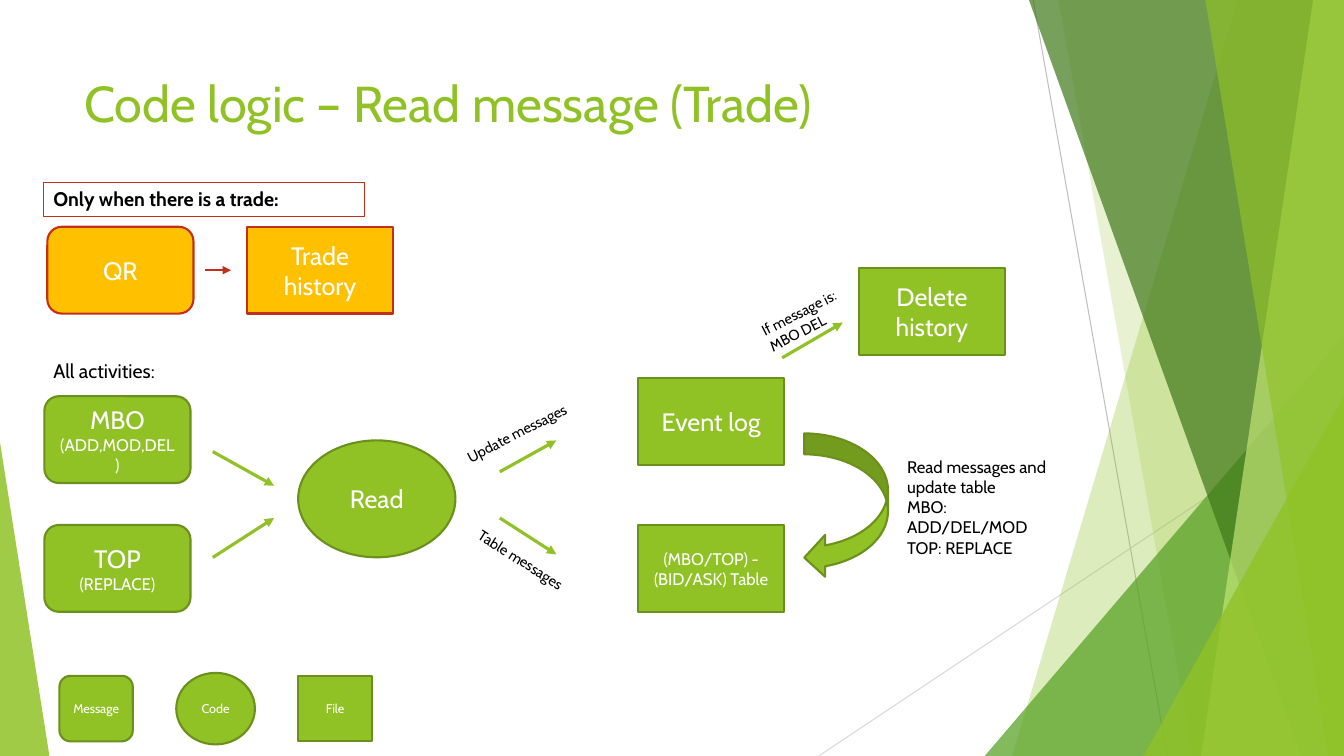
from typing import NamedTuple

from lxml.etree import SubElement
from pptx import Presentation
from pptx.dml.color import RGBColor
from pptx.enum.shapes import MSO_CONNECTOR as Link, MSO_SHAPE as Kind
from pptx.enum.text import MSO_ANCHOR as Anchor, PP_ALIGN as Align
from pptx.oxml.ns import qn
from pptx.util import Pt

FONT = "Cabin"
WHITE = RGBColor(0xFF, 0xFF, 0xFF)
BLACK = RGBColor(0, 0, 0)
GREEN = RGBColor(0x90, 0xC2, 0x26)
OLIVE = RGBColor(0x6B, 0x90, 0x1C)
LEAF = RGBColor(0x54, 0xA0, 0x21)
FOREST = RGBColor(0x3F, 0x78, 0x19)
LIME = RGBColor(0xC0, 0xE4, 0x74)
AMBER = RGBColor(0xFF, 0xC0, 0x00)
RED = RGBColor(0xC4, 0x2F, 0x1A)
GREY = RGBColor(0xBF, 0xBF, 0xBF)
PALE_GREY = RGBColor(0xD9, 0xD9, 0xD9)
NODE_SIZE = (104.4, 62)


class Box(NamedTuple):
    """A rectangle in points."""
    left: float
    top: float
    width: float
    height: float

    def inner(self, left, top, width, height):
        """Return a box placed relative to this one."""
        return Box(self.left + left, self.top + top, width, height)

    def lengths(self):
        """Return the four sides as Pt lengths."""
        return [Pt(side) for side in self]


def write(shape, lines, color, align=Align.LEFT, anchor=Anchor.TOP, bold=False):
    """Fill a shape with paragraphs given as (text, size) pairs."""
    frame = shape.text_frame
    frame.word_wrap = True
    frame.vertical_anchor = anchor
    for index, (text, size) in enumerate(lines):
        para = frame.add_paragraph() if index else frame.paragraphs[0]
        para.text = text
        para.alignment = align
        for span in para.runs:
            span.font.name = FONT
            span.font.size = Pt(size)
            span.font.bold = bold
            span.font.color.rgb = color


def add_label(page, box, lines, color=BLACK, rotation=0):
    """Add a free-standing, possibly rotated, text box."""
    label = page.shapes.add_textbox(*box.lengths())
    label.rotation = rotation
    write(label, lines, color)


def add_node(page, kind, box, lines=(), fill=GREEN, border=OLIVE):
    """Add a bordered shape with centred white text."""
    node = page.shapes.add_shape(kind, *box.lengths())
    node.shadow.inherit = False
    node.fill.solid()
    node.fill.fore_color.rgb = fill
    node.line.color.rgb = border
    node.line.width = Pt(1.5)
    write(node, lines, WHITE, Align.CENTER, Anchor.MIDDLE)


def add_line(page, box, start, end, color, width, arrow=True):
    """Draw a line between two points of the box."""
    points = [Pt(value) for x, y in (start, end) for value in (box.left + x, box.top + y)]
    line = page.shapes.add_connector(Link.STRAIGHT, *points)
    line.line.color.rgb = color
    line.line.width = Pt(width)
    properties = line._element.spPr
    if arrow:
        SubElement(properties.find(qn("a:ln")), qn("a:tailEnd"), type="triangle")
    SubElement(properties, qn("a:effectLst"))


def tint(shape, color, opacity):
    """Give a borderless shape a translucent fill."""
    shape.shadow.inherit = False
    shape.line.fill.background()
    shape.fill.solid()
    shape.fill.fore_color.rgb = color
    solid = shape._element.spPr.find(qn("a:solidFill"))
    SubElement(solid[0], qn("a:alpha"), val=str(opacity * 1000))


def add_band(page, box, top_left, bottom_left, color, opacity):
    """Add a slanted band that reaches the right edge of the box."""
    right, bottom = box.left + box.width, box.top + box.height
    outline = page.shapes.build_freeform(Pt(box.left + top_left), Pt(box.top))
    corners = [(right, box.top), (right, bottom), (box.left + bottom_left, bottom)]
    outline.add_line_segments([(Pt(x), Pt(y)) for x, y in corners], close=True)
    tint(outline.convert_to_shape(), color, opacity)


def add_wedge(page, box, apex, color, opacity):
    """Add a right-angled triangle with its apex at 0 (left) or 1 (right)."""
    wedge = page.shapes.add_shape(Kind.ISOSCELES_TRIANGLE, *box.lengths())
    wedge.adjustments[0] = apex
    tint(wedge, color, opacity)


def draw_backdrop(page, box):
    """Draw the translucent facets along both sides."""
    add_line(page, box, (738, 0), (833.8, box.height), GREY, 0.75, arrow=False)
    add_line(page, box, (box.width, 290), (584.8, box.height), PALE_GREY, 0.75, arrow=False)
    add_band(page, box, 884, 723, GREEN, 30)
    add_band(page, box, 756, 852, GREEN, 20)
    add_wedge(page, box.inner(703.4, 239.8, 256.6, 300.2), 1, LEAF, 72)
    add_band(page, box, 735, 929.5, FOREST, 70)
    add_band(page, box, 938, 858, LIME, 70)
    add_band(page, box, 861, 949, GREEN, 65)
    add_wedge(page, box.inner(816.7, 283, 143.3, 257), 1, GREEN, 80)
    add_wedge(page, box.inner(0, 316, 35.3, 224), 0, GREEN, 85)


def draw_trade(page, box):
    """Draw the step that runs only for a trade."""
    caption = page.shapes.add_shape(Kind.RECTANGLE, *box.inner(0, 0, 229.7, 24.5).lengths())
    caption.shadow.inherit = False
    caption.fill.background()
    caption.line.color.rgb = RED
    caption.line.width = Pt(0.75)
    write(caption, [("Only when there is a trade:", 14)], BLACK, bold=True)
    for kind, left, text in ((Kind.ROUNDED_RECTANGLE, 2.8, "QR"),
                             (Kind.RECTANGLE, 145.4, "Trade history")):
        add_node(page, kind, box.inner(left, 31.7, *NODE_SIZE), [(text, 18)], AMBER, RED)
    add_line(page, box, (115.2, 62.7), (134, 62.7), RED, 1.5)


def draw_activities(page, box):
    """Draw the flow from messages to logs and tables."""
    add_label(page, box.inner(0, 62.7, 229.7, 25.9), [("All activities:", 14)])
    nodes = (
        (Kind.ROUNDED_RECTANGLE, 0.7, 93, [("MBO", 18), ("(ADD,MOD,DEL)", 12)]),
        (Kind.ROUNDED_RECTANGLE, 0.7, 185, [("TOP", 18), ("(REPLACE)", 12)]),
        (Kind.RECTANGLE, 424.8, 80, [("Event log", 18)]),
        (Kind.RECTANGLE, 424.8, 185, [("(MBO/TOP) -(BID/ASK) Table", 12)]),
        (Kind.RECTANGLE, 582.5, 1.5, [("Delete history", 18)]),
    )
    for kind, left, top, lines in nodes:
        add_node(page, kind, box.inner(left, top, *NODE_SIZE), lines)
    add_node(page, Kind.OVAL, box.inner(182, 124.6, 112.3, 83.5), [("Read", 18)])
    add_node(page, Kind.CURVED_LEFT_ARROW, box.inner(543.5, 119.6, 59.8, 103.7))
    arrows = (
        ((121, 132.6), (164.8, 157)),
        ((121, 208.2), (164.8, 180)),
        ((326, 147), (366.4, 124.6)),
        ((326, 180), (366.4, 206)),
        ((527.7, 65.6), (571, 40.4)),
    )
    for start, end in arrows:
        add_line(page, box, start, end, GREEN, 2.25)
    slanted = (
        ((505.4, 19.5, 87.1, 32.4), 333.1, "If message is: MBO DEL"),
        ((292.3, 108.8, 95, 21.6), 332.9, "Update messages"),
        ((298, 204.6, 100.8, 20.2), 32.3, "Table messages"),
    )
    for place, rotation, text in slanted:
        add_label(page, box.inner(*place), [(text, 10.5)], rotation=rotation)
    notes = ("Read messages and update table", "MBO: ADD/DEL/MOD", "TOP: REPLACE")
    add_label(page, box.inner(609.8, 132.6, 128.2, 69.8), [(note, 12) for note in notes])


def draw_legend(page, box):
    """Explain the three node shapes at equal steps."""
    entries = ((Kind.ROUNDED_RECTANGLE, "Message", 52.4, 46.8),
               (Kind.OVAL, "Code", 56.2, 51.1),
               (Kind.RECTANGLE, "File", 52.4, 46.8))
    step = box.width / len(entries)
    for index, (kind, text, width, height) in enumerate(entries):
        left = (index + 0.5) * step - width / 2
        place = box.inner(left, (box.height - height) / 2, width, height)
        add_node(page, kind, place, [(text, 9)])


def main():
    """Build and save the deck."""
    deck = Presentation()
    deck.slide_width, deck.slide_height = Pt(960), Pt(540)
    page = deck.slides.add_slide(deck.slide_layouts[6])
    draw_backdrop(page, Box(0, 0, 960, 540))
    add_label(page, Box(53.3, 48.2, 676.8, 103.7),
              [("Code logic – Read message (Trade)", 36)], GREEN)
    draw_trade(page, Box(31, 130.3, 250, 94))
    draw_activities(page, Box(31, 190, 738, 247))
    draw_legend(page, Box(26, 480.6, 256, 51.1))
    deck.save("out.pptx")


main()
